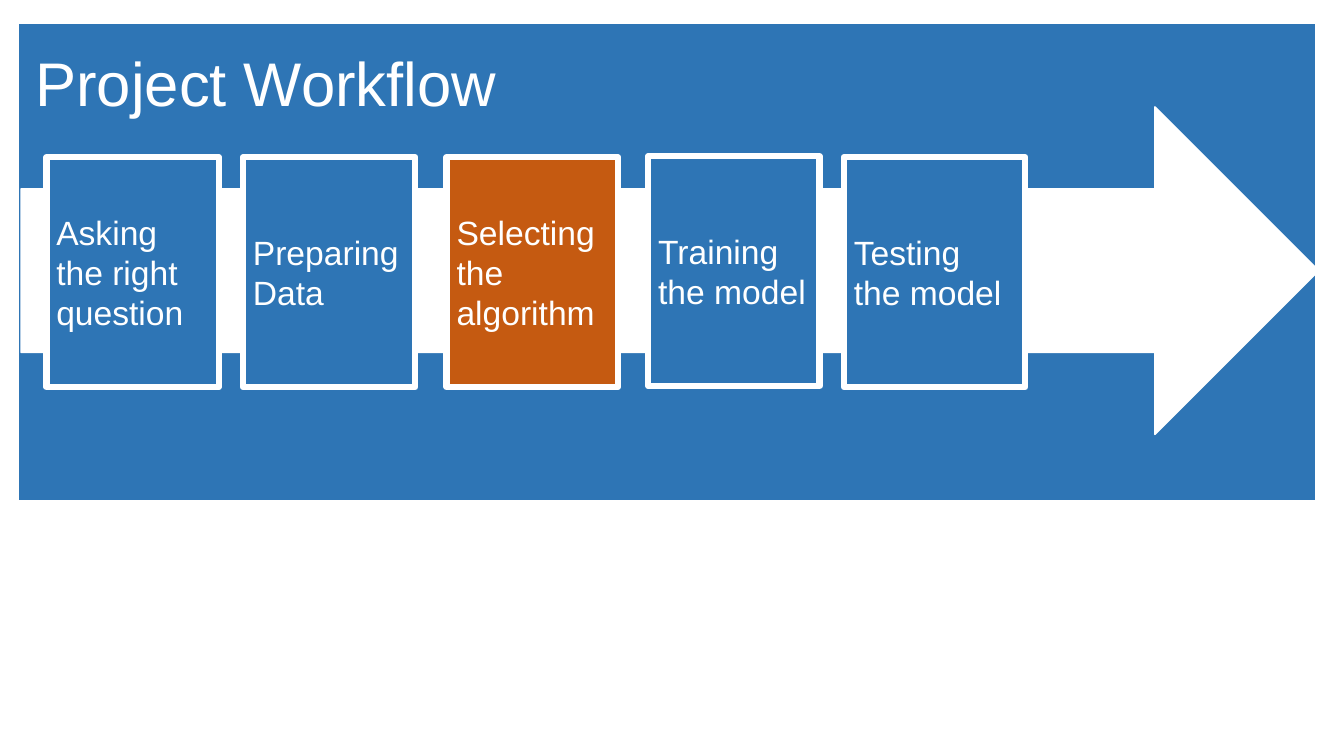
from dataclasses import dataclass

from pptx import Presentation
from pptx.dml.color import RGBColor
from pptx.enum.shapes import MSO_SHAPE as Preset
from pptx.enum.text import MSO_ANCHOR as Anchor, PP_ALIGN as Align
from pptx.util import Emu, Pt


@dataclass(frozen=True)
class Theme:
    """Colours, type sizes and line widths of the slide."""
    white: str = "FFFFFF"
    blue: str = "2E75B5"
    orange: str = "C55A11"
    font: str = "Arial"
    title_size: int = 44
    step_size: int = 24
    thin_line: float = 1
    thick_line: float = 4.5


THEME = Theme()
EMU_PER_PX = 9144
STEPS = [
    ("Asking the right question", 46, 156, 171, THEME.blue),
    ("Preparing Data", 241, 156, 171, THEME.blue),
    ("Selecting the algorithm", 443, 156, 170, THEME.orange),
    ("Training the model", 643, 155, 170, THEME.blue),
    ("Testing the model", 837, 156, 180, THEME.blue),
]
STEP_HEIGHT = 228


def px(length):
    """Turn whole pixels into EMU."""
    return Emu(length * EMU_PER_PX)


def write_text(shape, text, *, size, color=THEME.white, spacing=1.0):
    """Write left-aligned, vertically centred text into a shape."""
    frame = shape.text_frame
    frame.word_wrap = True
    frame.vertical_anchor = Anchor.MIDDLE
    frame.margin_left = frame.margin_right = px(10)
    frame.margin_top = frame.margin_bottom = px(5)
    paragraph = frame.paragraphs[0]
    paragraph.alignment = Align.LEFT
    paragraph.line_spacing = spacing
    run = paragraph.add_run()
    run.text = text
    run.font.name = THEME.font
    run.font.size = Pt(size)
    run.font.color.rgb = RGBColor.from_string(color)


def add_block(slide, preset, box, fill, line_width):
    """Add a filled preset shape with a white outline."""
    shape = slide.shapes.add_shape(preset, *map(px, box))
    shape.shadow.inherit = False
    shape.fill.solid()
    shape.fill.fore_color.rgb = RGBColor.from_string(fill)
    shape.line.color.rgb = RGBColor.from_string(THEME.white)
    shape.line.width = Pt(line_width)
    return shape


def place_title(slide, text, box):
    """Place the title placeholder in front of the shapes drawn so far."""
    title = slide.shapes.title
    title.left, title.top, title.width, title.height = map(px, box)
    write_text(title, text, size=THEME.title_size, spacing=0.9)
    slide.shapes._spTree.append(title._element)


def add_step(slide, text, left, top, width, fill):
    """Add one labelled step of the workflow."""
    box = (left, top, width, STEP_HEIGHT)
    step = add_block(slide, Preset.RECTANGLE, box, fill, THEME.thick_line)
    write_text(step, text, size=THEME.step_size)


def main():
    """Build the workflow slide and save it."""
    presentation = Presentation()
    presentation.slide_width, presentation.slide_height = px(1333), px(750)
    slide = presentation.slides.add_slide(presentation.slide_layouts[5])
    add_block(slide, Preset.RECTANGLE, (18, 23, 1287, 474), THEME.blue, THEME.thin_line)
    add_block(slide, Preset.RIGHT_ARROW, (21, 106, 1287, 325), THEME.white, THEME.thin_line)
    place_title(slide, "Project Workflow", (25, 23, 1150, 125))
    for step in STEPS:
        add_step(slide, *step)
    presentation.save("out.pptx")


if __name__ == "__main__":
    main()
